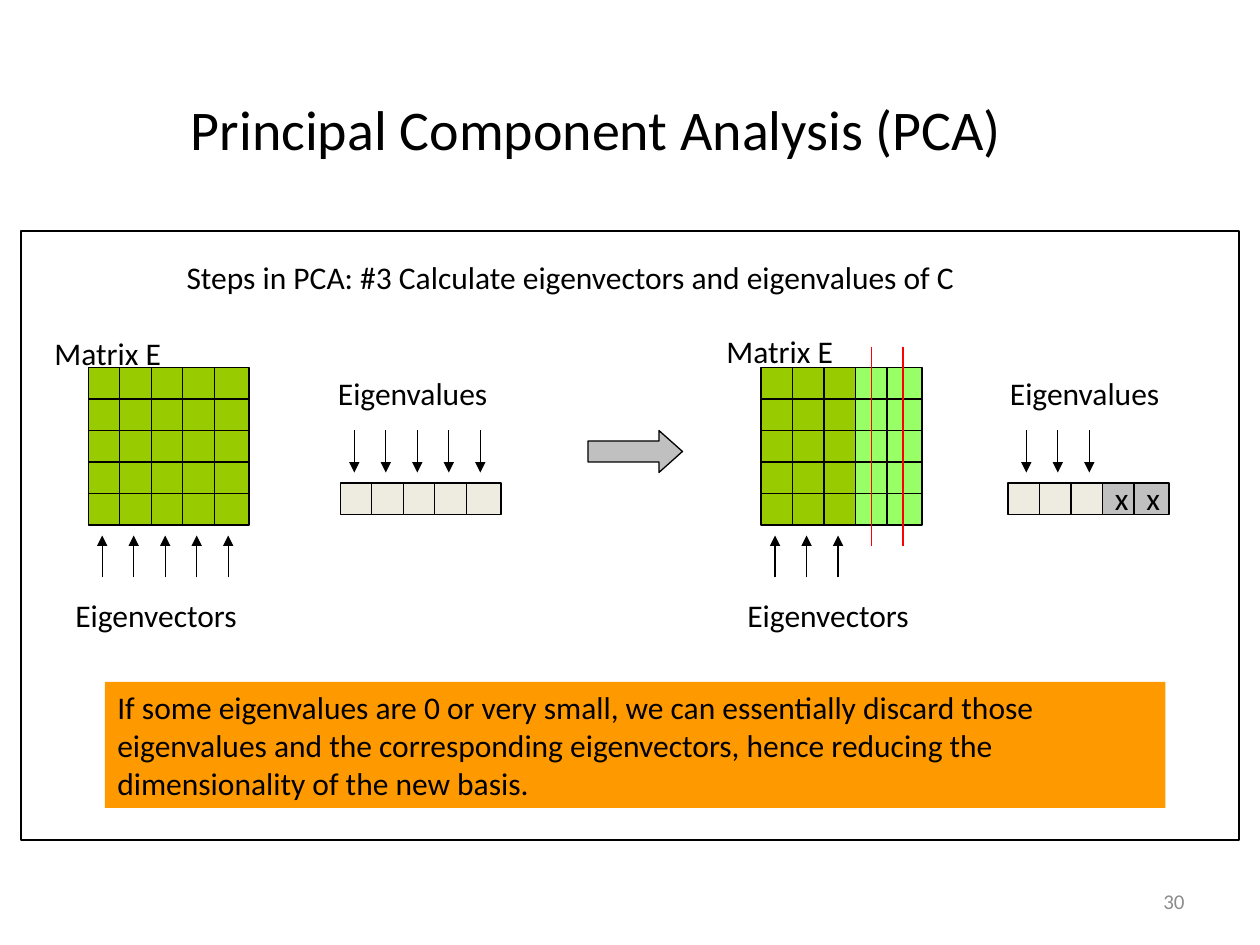
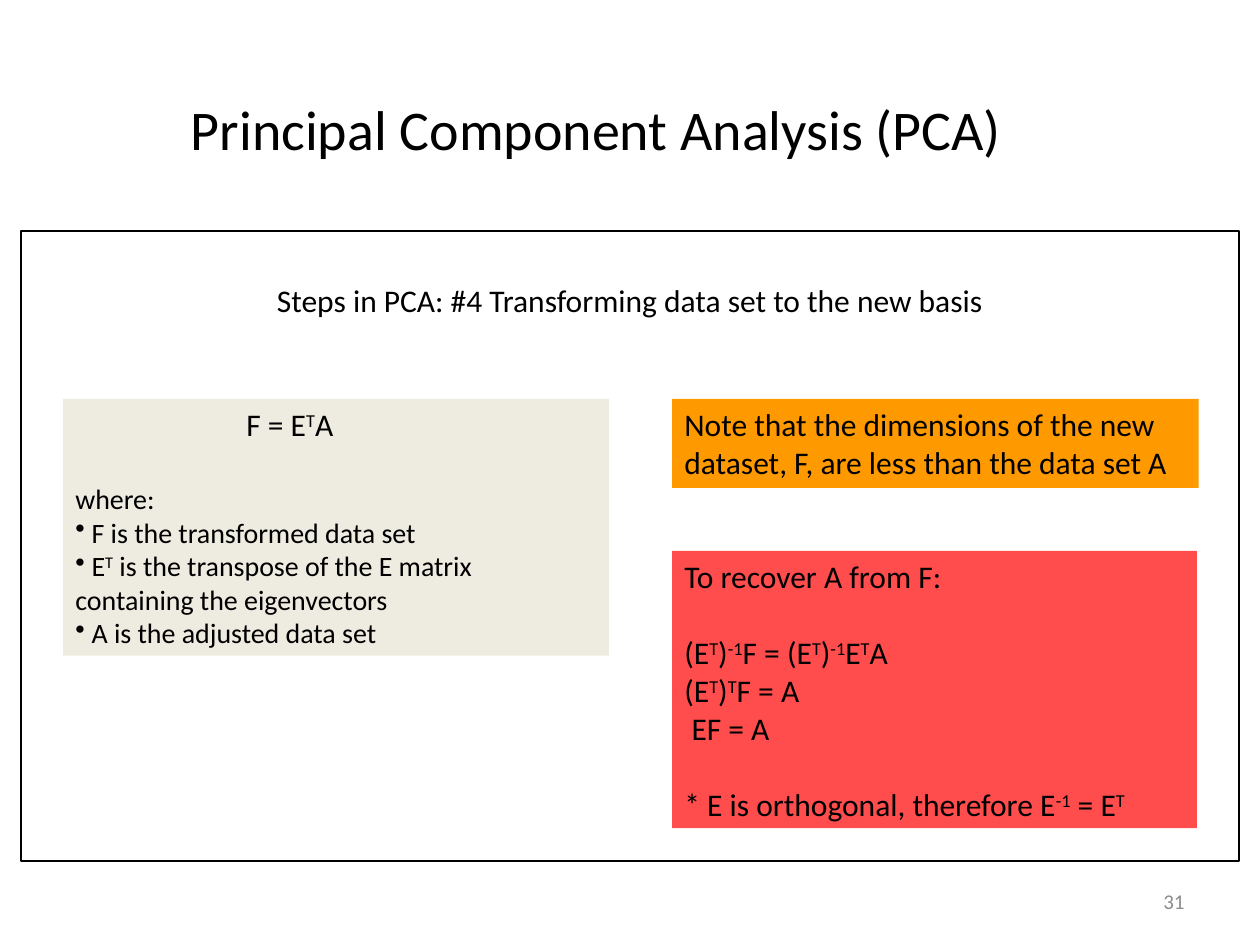
from lxml.etree import SubElement
from pptx import Presentation
from pptx.dml.color import RGBColor
from pptx.enum.shapes import MSO_CONNECTOR, MSO_SHAPE
from pptx.enum.text import MSO_ANCHOR, PP_ALIGN
from pptx.oxml.ns import qn
from pptx.util import Pt

BLACK, WHITE, RED = "000000", "FFFFFF", "FF0000"
GREEN, PALE_GREEN = "99CC00", "99FF66"
CREAM, SILVER, ORANGE, GREY = "EEECE1", "C0C0C0", "FF9900", "8C8C8C"
LINE_WIDTH = Pt(0.75)
BLANK_LINE = Pt(22)


def add_box(page, place, fill, line=None, opacity=100, kind=MSO_SHAPE.RECTANGLE):
    box = page.shapes.add_shape(kind, *map(Pt, place))
    box.shadow.inherit = False
    box.fill.solid()
    box.fill.fore_color.rgb = RGBColor.from_string(fill)
    if opacity < 100:
        colour = box.fill._xPr.find(".//" + qn("a:srgbClr"))
        SubElement(colour, qn("a:alpha"), val=str(opacity * 1000))
    if line:
        box.line.color.rgb = RGBColor.from_string(line)
        box.line.width = LINE_WIDTH
    else:
        box.line.fill.background()
    return box


def write(box, lines, size=18, colour=BLACK, wrap=True, anchor=MSO_ANCHOR.TOP):
    frame = box.text_frame
    frame.word_wrap = wrap
    frame.vertical_anchor = anchor
    for index, (text, layout) in enumerate(lines):
        para = frame.add_paragraph() if index else frame.paragraphs[0]
        values = {"alignment": PP_ALIGN.LEFT, **layout}
        line_size = values.pop("size", size)
        indent = values.pop("indent", 0)
        bullet = values.pop("bullet", None)
        for name, value in values.items():
            setattr(para, name, value)
        properties = para._p.get_or_add_pPr()
        properties.set("marL", str(Pt(indent)))
        properties.set("indent", "0")
        if bullet:
            SubElement(properties, qn("a:buChar"), char=bullet)
        for position, piece in enumerate(text.split("^")):
            if not piece:
                continue
            span = para.add_run()
            span.text = piece
            for name, value in {"name": "Calibri", "size": Pt(line_size)}.items():
                setattr(span.font, name, value)
            span.font.color.rgb = RGBColor.from_string(colour)
            if position % 2:
                span._r.get_or_add_rPr().set("baseline", "30000")


deck = Presentation()
deck.slide_width, deck.slide_height = Pt(720), Pt(540)

pages = []
for number, frame_height, step, step_place in [
    ("30", 348, "Steps in PCA: #3 Calculate eigenvectors and eigenvalues of C",
     (99.5, 144, 458.5, 29)),
    ("31", 360, "Steps in PCA: #4 Transforming data set to the new basis",
     (151.2, 157, 422.6, 29)),
]:
    page = deck.slides.add_slide(deck.slide_layouts[6])
    pages.append(page)
    add_box(page, (12, 132, 696, frame_height), WHITE, BLACK, opacity=70)
    title = page.shapes.add_textbox(*map(Pt, (102, 50.4, 483, 46)))
    write(title, [("Principal Component Analysis (PCA)", {})], size=32, wrap=False)
    heading = page.shapes.add_textbox(*map(Pt, step_place))
    write(heading, [(step, {})], wrap=False)
    footer = page.shapes.add_textbox(*map(Pt, (516, 500.5, 168, 28.75)))
    write(footer, [(number, {"alignment": PP_ALIGN.RIGHT})], size=12,
          colour=GREY, anchor=MSO_ANCHOR.MIDDLE)

eigen_page, basis_page = pages

SIZE, STEP, CELL_WIDTH = 5, 18, 20
MATRIX_TOP, VALUES_TOP = 210, 276
arrows, strikes, labels = [], [], []
for matrix_left, values_left, label_left, label_top, kept in [
    (50.4, 194.4, 24, 187.5, 5),
    (434.9, 576, 408, 186, 3),
]:
    for column in range(SIZE):
        shift = column * STEP
        is_kept = column < kept
        for row in range(SIZE):
            add_box(eigen_page,
                    (matrix_left + shift, MATRIX_TOP + row * STEP, CELL_WIDTH, STEP),
                    GREEN if is_kept else PALE_GREEN, BLACK)
        add_box(eigen_page, (values_left + shift, VALUES_TOP, CELL_WIDTH, STEP),
                CREAM if is_kept else SILVER, BLACK)
        if is_kept:
            vector_x = matrix_left + shift + 8
            value_x = label_left + 178.5 + shift
            arrows.append((vector_x, 330, vector_x, 306))
            arrows.append((value_x, 246, value_x, 270))
        else:
            strike_x = matrix_left + shift + 9.1
            strikes.append((strike_x, 198, strike_x, 312))
            labels.append(("x", values_left + shift, 270, 22.5))
    labels += [
        ("Matrix E", label_left, label_top, 76),
        ("Eigenvectors", label_left + 12, 337, 108),
        ("Eigenvalues", label_left + 162, 210, 101),
    ]

for text, left, top, width in labels:
    label = eigen_page.shapes.add_textbox(Pt(left), Pt(top), Pt(width), Pt(29))
    write(label, [(text, {})], wrap=False)

for ends, colour in [(ends, BLACK) for ends in arrows] + [(ends, RED) for ends in strikes]:
    line = eigen_page.shapes.add_connector(MSO_CONNECTOR.STRAIGHT, *map(Pt, ends))
    line.line.color.rgb = RGBColor.from_string(colour)
    line.line.width = LINE_WIDTH
    if colour == BLACK:
        SubElement(line.line._get_or_add_ln(), qn("a:tailEnd"), type="triangle")
    SubElement(line._element.spPr, qn("a:effectLst"))

reduce_arrow = add_box(eigen_page, (336, 246, 54, 24), SILVER, BLACK,
                       kind=MSO_SHAPE.RIGHT_ARROW)
reduce_arrow.adjustments[0] = 0.5
reduce_arrow.adjustments[1] = 0.56

conclusion = add_box(eigen_page, (60, 389.7, 606, 72), ORANGE)
write(conclusion, [(
    "If some eigenvalues are 0 or very small, we can essentially discard those "
    "eigenvalues and the corresponding eigenvectors, hence reducing the "
    "dimensionality of the new basis.", {})])

gap = {"space_before": BLANK_LINE}
small = {"size": 16}
bulleted = {"size": 16, "bullet": "•"}
for place, fill, opacity, lines in [
    ((36, 228, 312, 146.7), CREAM, 100, [
        ("F = E^T^A", {"indent": 97.7}),
        ("where:", {**small, **gap}),
        (" F is the transformed data set", bulleted),
        (" E^T^ is the transpose of the E matrix containing the eigenvectors", bulleted),
        (" A is the adjusted data set", bulleted),
    ]),
    ((384, 228, 301, 50.9), ORANGE, 100, [
        ("Note that the dimensions of the new dataset, F, are less than the data set A", {}),
    ]),
    ((384, 314.8, 300, 158.5), RED, 70, [
        ("To recover A from F:", {}),
        ("(E^T^)^-1^F = (E^T^)^-1^E^T^A", gap),
        ("(E^T^)^T^F = A", {}),
        (" EF = A", {}),
        ("* E is orthogonal, therefore E^-1^ = E^T^", gap),
    ]),
]:
    note = add_box(basis_page, place, fill, opacity=opacity)
    write(note, lines)

deck.save("out.pptx")
